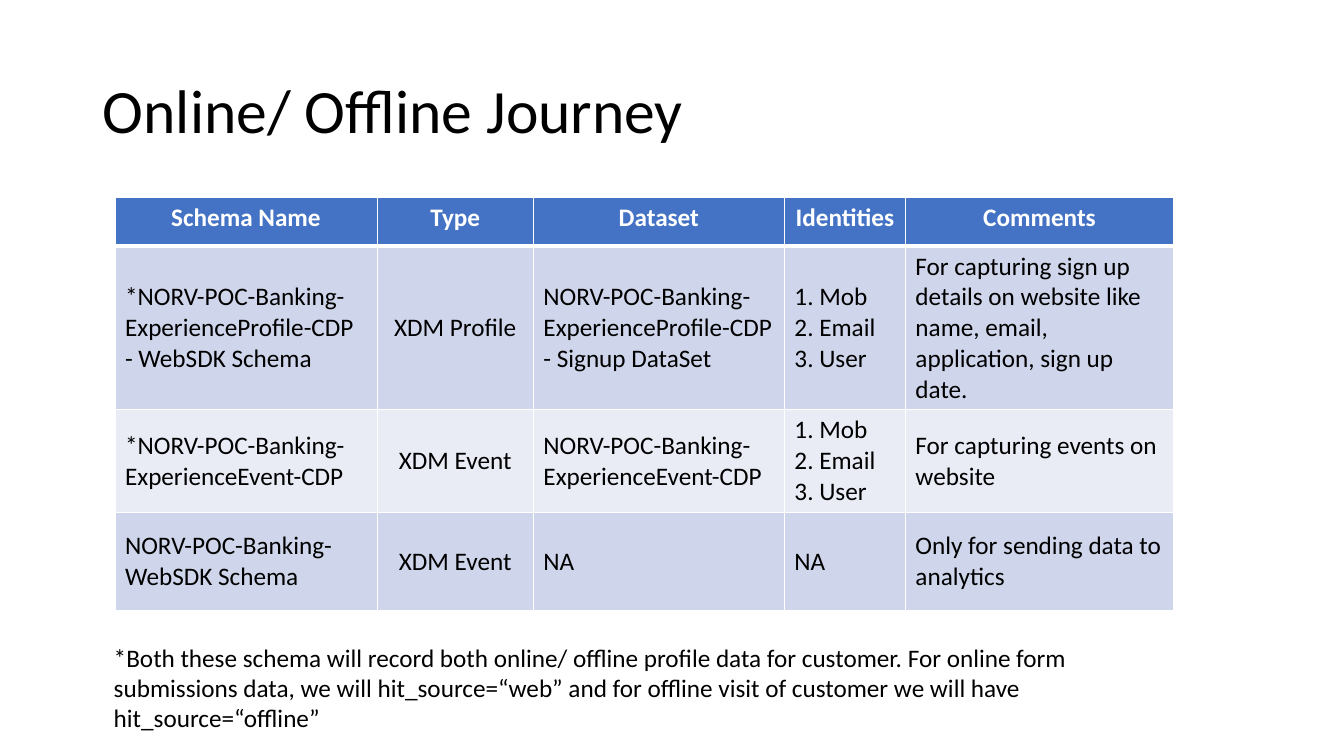
"""Build the Online/ Offline Journey slide."""
import pptx
import pptx.dml.color
import pptx.enum.text
import pptx.oxml.ns
import pptx.util
from lxml import etree
from pptx.util import Inches

FONT = "Calibri"
BLACK = "000000"
WHITE = "FFFFFF"
HEADER_FILL = "4472C4"
BAND_FILLS = ("CFD5EA", "E9EBF5")
COLUMN_WIDTHS = (2.6, 1.55, 2.49, 1.2, 2.66)
ROW_HEIGHTS = (0.48, 0.98, 0.98, 0.98)
TYPE_COLUMN = 1
IDENTITIES = "1. Mob\n2. Email\n3. User"
SCHEMAS = (
    ("Schema Name", "Type", "Dataset", "Identities", "Comments"),
    ("*NORV-POC-Banking-ExperienceProfile-CDP - WebSDK Schema", "XDM Profile",
     "NORV-POC-Banking-ExperienceProfile-CDP - Signup DataSet", IDENTITIES,
     "For capturing sign up details on website like name, email, application, sign up date."),
    ("*NORV-POC-Banking-ExperienceEvent-CDP", "XDM Event",
     "NORV-POC-Banking-ExperienceEvent-CDP", IDENTITIES,
     "For capturing events on website"),
    ("NORV-POC-Banking- WebSDK Schema", "XDM Event", "NA", "NA",
     "Only for sending data to analytics"),
)
FOOTNOTE = (
    "*Both these schema will record both online/ offline profile data for customer. "
    "For online form submissions data, we will hit_source=“web” and for offline visit "
    "of customer we will have hit_source=“offline”"
)


def rgb(value):
    """Return the colour for a hex string."""
    return pptx.dml.color.RGBColor.from_string(value)


def write_text(text_frame, text, size, color=BLACK, bold=False, centered=False):
    """Set the text and format every paragraph and run."""
    text_frame.text = text
    alignment = pptx.enum.text.PP_ALIGN
    for paragraph in text_frame.paragraphs:
        paragraph.alignment = alignment.CENTER if centered else alignment.LEFT
        for run in paragraph.runs:
            run.font.name = FONT
            run.font.size = pptx.util.Pt(size)
            run.font.bold = bold
            run.font.color.rgb = rgb(color)


def add_title(slide, text):
    """Place and format the title placeholder."""
    title = slide.shapes.title
    title.left, title.top = Inches(0.92), Inches(0.4)
    title.width, title.height = Inches(11.5), Inches(1.45)
    write_text(title.text_frame, text, 44)
    title.text_frame.auto_size = pptx.enum.text.MSO_AUTO_SIZE.NONE
    title.text_frame.vertical_anchor = pptx.enum.text.MSO_ANCHOR.MIDDLE
    title.text_frame.paragraphs[0].line_spacing = 0.9


def set_borders(cell, top, bottom):
    """Draw white cell borders with the given top and bottom widths in points."""
    properties = cell._tc.get_or_add_tcPr()
    qualified = pptx.oxml.ns.qn
    for side, width in (("L", 1), ("R", 1), ("T", top), ("B", bottom)):
        line = etree.SubElement(properties, qualified(f"a:ln{side}"), w=str(pptx.util.Pt(width)))
        fill = etree.SubElement(line, qualified("a:solidFill"))
        etree.SubElement(fill, qualified("a:srgbClr"), val=WHITE)


def add_schema_table(slide):
    """Add the table of schemas with a header and banded rows."""
    frame = slide.shapes.add_table(
        len(SCHEMAS), len(COLUMN_WIDTHS), Inches(1.14), Inches(1.96),
        Inches(sum(COLUMN_WIDTHS)), Inches(sum(ROW_HEIGHTS)))
    table = frame.table
    for column, width in zip(table.columns, COLUMN_WIDTHS):
        column.width = Inches(width)
    for row, height in zip(table.rows, ROW_HEIGHTS):
        row.height = Inches(height)
    anchor = pptx.enum.text.MSO_ANCHOR
    for row_index, texts in enumerate(SCHEMAS):
        header = row_index == 0
        fill = HEADER_FILL if header else BAND_FILLS[(row_index - 1) % 2]
        for column_index, text in enumerate(texts):
            cell = table.cell(row_index, column_index)
            set_borders(cell, 3 if row_index == 1 else 1, 3 if header else 1)
            cell.fill.solid()
            cell.fill.fore_color.rgb = rgb(fill)
            cell.vertical_anchor = anchor.TOP if header else anchor.MIDDLE
            write_text(cell.text_frame, text, 18, WHITE if header else BLACK,
                       header, header or column_index == TYPE_COLUMN)


def add_footnote(slide, text):
    """Add the wrapped note below the table."""
    box = slide.shapes.add_textbox(Inches(1.03), Inches(6.32), Inches(10.5), Inches(1.01))
    box.text_frame.word_wrap = True
    box.text_frame.auto_size = pptx.enum.text.MSO_AUTO_SIZE.SHAPE_TO_FIT_TEXT
    write_text(box.text_frame, text, 18)


def main():
    """Build and save the presentation."""
    presentation = pptx.Presentation()
    presentation.slide_width = Inches(13.33)
    presentation.slide_height = Inches(7.5)
    slide = presentation.slides.add_slide(presentation.slide_layouts.get_by_name("Title Only"))
    add_title(slide, "Online/ Offline Journey")
    add_schema_table(slide)
    add_footnote(slide, FOOTNOTE)
    presentation.save("out.pptx")


if __name__ == "__main__":
    main()
